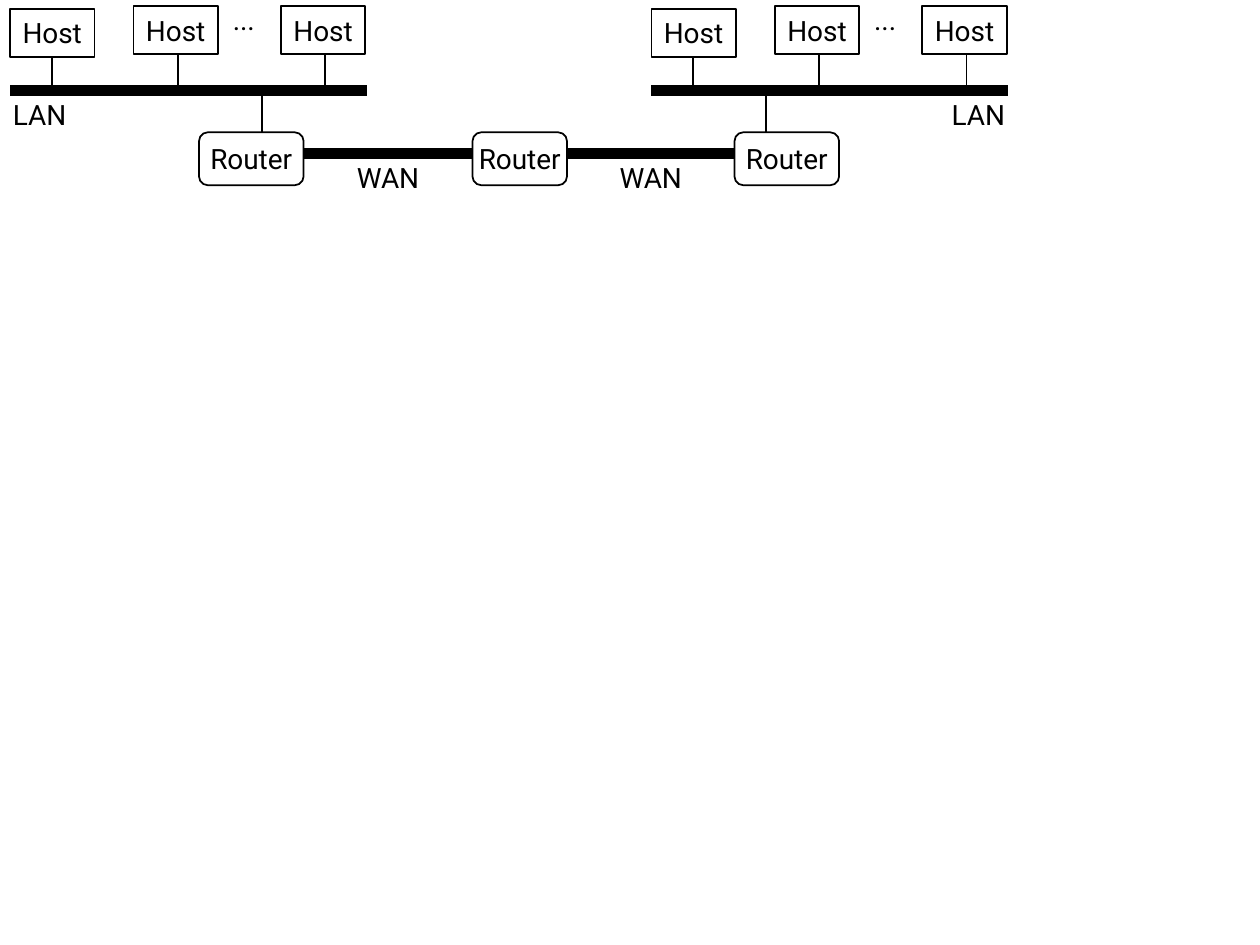
from typing import NamedTuple

from pptx import Presentation
from pptx.dml.color import RGBColor
from pptx.enum.shapes import MSO_CONNECTOR, MSO_SHAPE
from pptx.enum.text import MSO_ANCHOR, MSO_AUTO_SIZE, PP_ALIGN
from pptx.oxml.ns import qn
from pptx.shapes.autoshape import Shape
from pptx.util import Inches, Pt
from lxml.etree import SubElement

BLACK, WHITE = "000000", "FFFFFF"
THIN, THICK = 1, 6
LAN_Y, WAN_Y, ROUTER_Y = 0.72, 1.22, 1.05


class Box(NamedTuple):
    left: float
    top: float
    width: float
    height: float


class Lan(NamedTuple):
    left: float      # left end of the bus
    label: float     # left of the LAN label
    drop: float      # x of the line down to the router


LANS = [Lan(0.08, 0, 2.08), Lan(5.17, 7.45, 6.08)]
HOSTS = [(0, 0.07, 0.33), (0.98, 0.05, 1.33), (2.15, 0.05, 2.5)]  # left, top, stem
ROUTERS = [(1.58, 0.83), (3.75, 0.75), (5.83, 0.83)]              # left, width

prs = Presentation()
prs.slide_width, prs.slide_height = Inches(10), Inches(7.5)
slide = prs.slides.add_slide(prs.slide_layouts[6])


def color(code: str) -> RGBColor:
    return RGBColor.from_string(code)


def line(x1: float, y1: float, x2: float, y2: float, width: float) -> None:
    link = slide.shapes.add_connector(
        MSO_CONNECTOR.STRAIGHT, Inches(x1), Inches(y1), Inches(x2), Inches(y2))
    link.line.color.rgb = color(BLACK)
    link.line.width = Pt(width)
    SubElement(link._element.spPr, qn("a:effectLst"))


def write(shape: Shape, text: str, grow: bool = True) -> None:
    frame = shape.text_frame
    frame.text = text
    frame.word_wrap = False
    frame.vertical_anchor = MSO_ANCHOR.MIDDLE
    frame.auto_size = MSO_AUTO_SIZE.SHAPE_TO_FIT_TEXT if grow else MSO_AUTO_SIZE.NONE
    para = frame.paragraphs[0]
    para.alignment = PP_ALIGN.CENTER
    para.font.name, para.font.size = "Roboto", Pt(16)
    para.font.color.rgb = color(BLACK)


def label(box: Box, text: str) -> None:
    write(slide.shapes.add_textbox(*map(Inches, box)), text)


def node(kind: MSO_SHAPE, box: Box, text: str, grow: bool) -> Shape:
    shape = slide.shapes.add_shape(kind, *map(Inches, box))
    shape.shadow.inherit = False
    shape.line.color.rgb = color(BLACK)
    shape.line.width = Pt(THIN)
    write(shape, text, grow)
    return shape


# Local networks: bus, stems, hosts and labels
for lan in LANS:
    line(lan.left, LAN_Y, lan.left + 2.83, LAN_Y, THICK)
    for _, _, stem in HOSTS:
        line(lan.left + stem, 0.38, lan.left + stem, LAN_Y, THIN)
    for left, top, _ in HOSTS:
        host = node(MSO_SHAPE.RECTANGLE,
                    Box(lan.left + left, top, 0.67, 0.38), "Host", True)
        host.fill.solid()
        host.fill.fore_color.rgb = color(WHITE)
    label(Box(lan.label, LAN_Y, 0.63, 0.37), "LAN")
    label(Box(lan.left + 1.66, -0.03, 0.39, 0.37), "...")
    line(lan.drop, LAN_Y, lan.drop, ROUTER_Y, THIN)

# Routers
for left, width in ROUTERS:
    router = node(MSO_SHAPE.ROUNDED_RECTANGLE,
                  Box(left, ROUTER_Y, width, 0.42), "Router", False)
    router.fill.background()

# Wide-area links between neighbouring routers
for (left, width), (end, _) in zip(ROUTERS, ROUTERS[1:]):
    start = left + width
    line(start, WAN_Y, end, WAN_Y, THICK)
    label(Box((start + end - 0.72) / 2, WAN_Y, 0.72, 0.37), "WAN")

prs.save("out.pptx")
